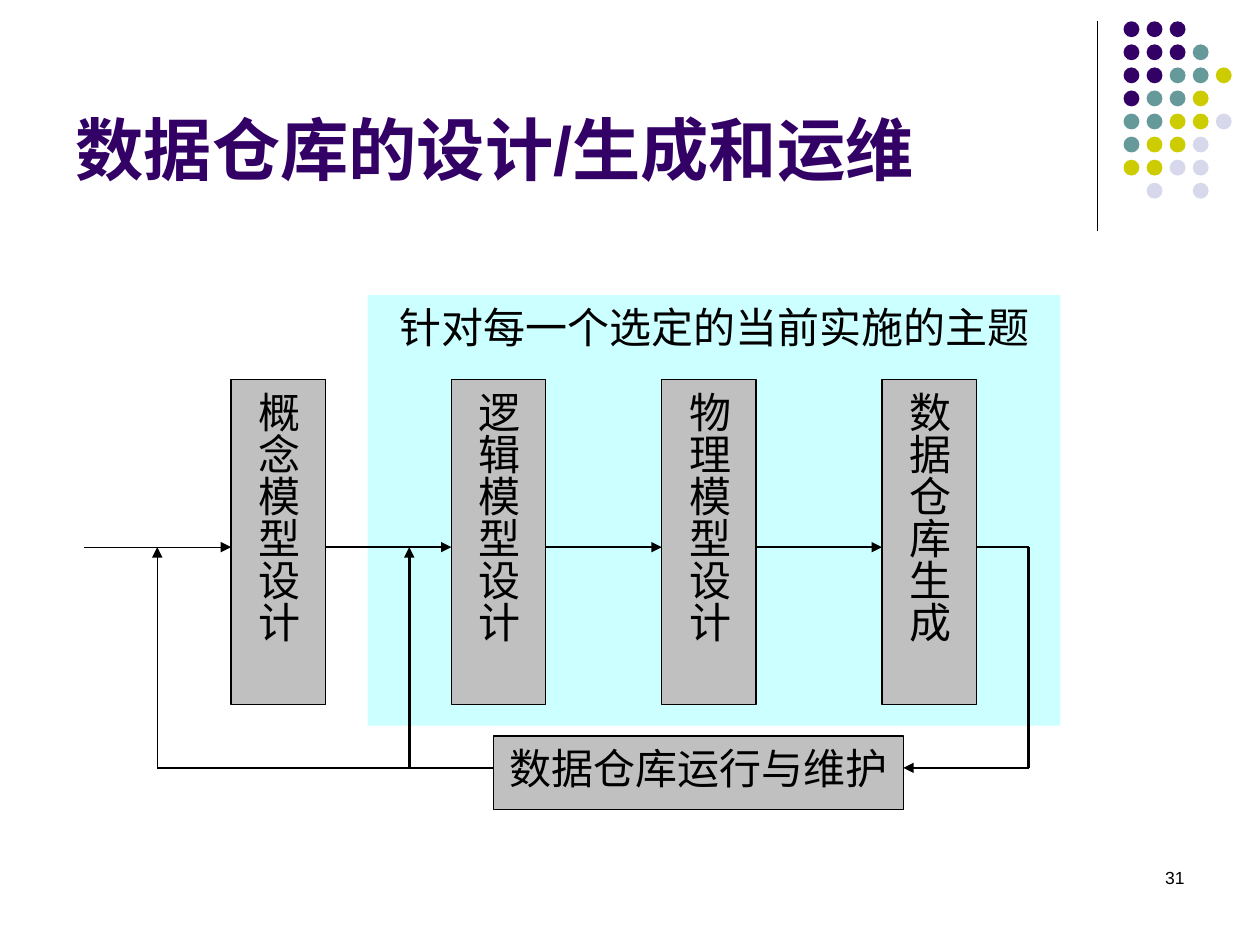
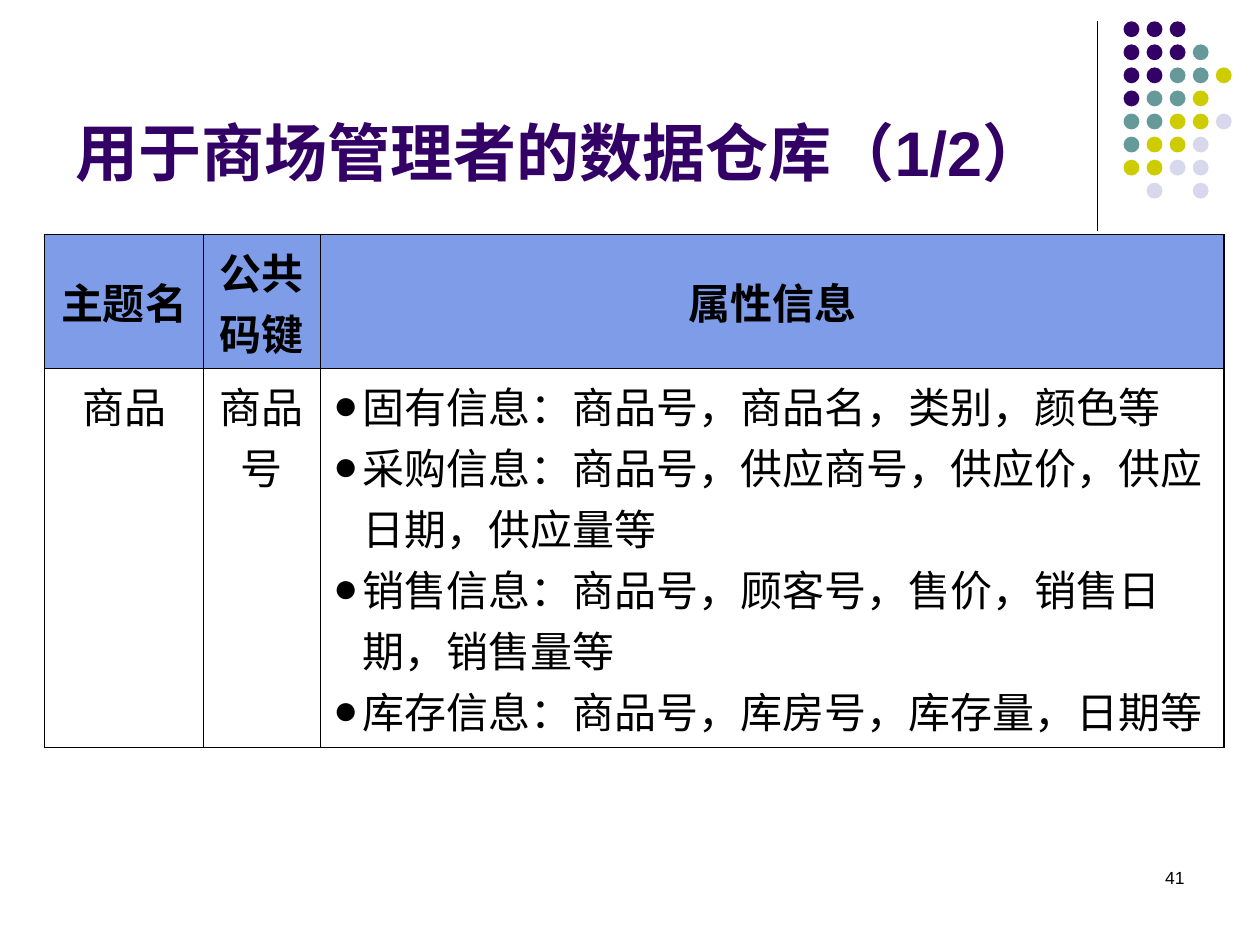
from lxml import etree
from pptx import Presentation
from pptx.dml.color import RGBColor
from pptx.enum.shapes import MSO_CONNECTOR, MSO_SHAPE
from pptx.enum.text import MSO_ANCHOR, MSO_AUTO_SIZE, PP_ALIGN
from pptx.oxml.ns import qn
from pptx.util import Cm, Pt

LEFT, MID, RIGHT = PP_ALIGN.LEFT, PP_ALIGN.CENTER, PP_ALIGN.RIGHT
TOP, CENTRE, BOTTOM = MSO_ANCHOR.TOP, MSO_ANCHOR.MIDDLE, MSO_ANCHOR.BOTTOM
RECT, OVAL = MSO_SHAPE.RECTANGLE, MSO_SHAPE.OVAL
STRAIGHT = MSO_CONNECTOR.STRAIGHT
NO_FIT = MSO_AUTO_SIZE.NONE

BLACK = RGBColor(0x00, 0x00, 0x00)
WHITE = RGBColor(0xFF, 0xFF, 0xFF)
PURPLE = RGBColor(0x33, 0x00, 0x66)
TEAL = RGBColor(0x66, 0x99, 0x99)
LIME = RGBColor(0xCC, 0xCC, 0x00)
PALE = RGBColor(0xD8, 0xD8, 0xEC)
CYAN = RGBColor(0xCC, 0xFF, 0xFF)
GREY = RGBColor(0xC0, 0xC0, 0xC0)
BLUE = RGBColor(0x7E, 0x9C, 0xE8)
SANS, SERIF = "Arial", "Times New Roman"

DOTS = ["PPP", "PPPT", "PPTTL", "PTTL", "TTLLW", "TLLW", "LLWW", " W W"]
DOT_FILL = {"P": PURPLE, "T": TEAL, "L": LIME, "W": PALE}
DOT_X, DOT_Y, DOT_GAP, DOT_SIZE = 22.65, 0.43, 0.465, 0.32

FLOW_TITLE = "数据仓库的设计/生成和运维"
SCOPE = "针对每一个选定的当前实施的主题"
STEPS = [(4.66, "概念模型设计"), (9.1, "逻辑模型设计"),
         (13.34, "物理模型设计"), (17.78, "数据仓库生成")]
STEP_Y, STEP_W, STEP_H = 7.65, 1.9, 6.55
UPKEEP = "数据仓库运行与维护"
UP_X, UP_W = 9.95, 8.26
FLOW_Y, BACK_Y = 11.03, 15.48
START_X, LOOP_X, JOIN_X, TURN_X = 1.69, 3.17, 8.25, 20.74

MALL_TITLE = "用于商场管理者的数据仓库（1/2）"
HEAD = [["主题名"], ["公共", "码键"], ["属性信息"]]
BODY = [["商品"], ["商品号"],
        ["固有信息：商品号，商品名，类别，颜色等",
         "采购信息：商品号，供应商号，供应价，供应日期，供应量等",
         "销售信息：商品号，顾客号，售价，销售日期，销售量等",
         "库存信息：商品号，库房号，库存量，日期等"]]
COLS, ROWS = [3.2, 2.36, 18.21], [2.7, 7.64]
THICK, THIN = 0.96, 0.45
INDENT = 0.59


def style(par, size, font=SERIF, color=BLACK, bold=False, align=MID):
    par.alignment = align
    par.font.size = Pt(size)
    par.font.name = font
    par.font.bold = bold
    par.font.color.rgb = color


def shape(slide, kind, x, y, w, h, fill, edge=False):
    item = slide.shapes.add_shape(kind, Cm(x), Cm(y), Cm(w), Cm(h))
    item.shadow.inherit = False
    item.fill.solid()
    item.fill.fore_color.rgb = fill
    if edge:
        item.line.color.rgb = BLACK
        item.line.width = Pt(0.75)
    else:
        item.line.fill.background()
    return item


def box(slide, x, y, w, h, fill, text, edge=True, upright=False):
    item = shape(slide, RECT, x, y, w, h, fill, edge)
    frame = item.text_frame
    frame.word_wrap = not upright
    frame.vertical_anchor = CENTRE if upright else TOP
    side, end = (0.13, 0.25) if upright else (0.25, 0.13)
    frame.margin_left = frame.margin_right = Cm(side)
    frame.margin_top = frame.margin_bottom = Cm(end)
    if upright:
        frame._txBody.bodyPr.set("vert", "eaVert")
    frame.text = text
    style(frame.paragraphs[0], 24)


def line(slide, x1, y1, x2, y2, width=1.5, arrow=False):
    link = slide.shapes.add_connector(STRAIGHT, Cm(x1), Cm(y1), Cm(x2), Cm(y2))
    link.line.color.rgb = BLACK
    link.line.width = Pt(width)
    if arrow:
        etree.SubElement(link.line._get_or_add_ln(), qn("a:tailEnd"), type="triangle")
    etree.SubElement(link._element.spPr, qn("a:effectLst"))


def new_slide(deck, title, size, number):
    slide = deck.slides.add_slide(deck.slide_layouts[5])
    line(slide, 22.12, 0.43, 22.12, 4.65, 0.75)
    for row, marks in enumerate(DOTS):
        for col, mark in enumerate(marks):
            if mark in DOT_FILL:
                shape(slide, OVAL, DOT_X + col * DOT_GAP, DOT_Y + row * DOT_GAP,
                      DOT_SIZE, DOT_SIZE, DOT_FILL[mark])
    note = slide.shapes.add_textbox(Cm(18.2), Cm(17.35), Cm(5.93), Cm(1.27))
    note.text_frame.word_wrap = True
    note.text_frame.text = number
    style(note.text_frame.paragraphs[0], 10, SANS, align=RIGHT)
    head = slide.shapes.title
    head.left, head.top, head.width, head.height = Cm(1.27), Cm(0.34), Cm(20.96), Cm(3.6)
    frame = head.text_frame
    frame.word_wrap = True
    frame.auto_size = NO_FIT
    frame.vertical_anchor = BOTTOM
    frame.text = title
    style(frame.paragraphs[0], size, SANS, PURPLE, True, LEFT)
    return slide


def flow_slide(deck):
    slide = new_slide(deck, FLOW_TITLE, 39, "31")
    box(slide, 7.41, 5.95, 13.97, 8.68, CYAN, SCOPE, edge=False)
    for x, text in STEPS:
        box(slide, x, STEP_Y, STEP_W, STEP_H, GREY, text, upright=True)
    box(slide, UP_X, 14.84, UP_W, 1.48, GREY, UPKEEP)
    for (x, _), (after, _) in zip(STEPS, STEPS[1:]):
        line(slide, x + STEP_W, FLOW_Y, after, FLOW_Y, arrow=True)
    line(slide, TURN_X, BACK_Y, UP_X + UP_W, BACK_Y, arrow=True)
    line(slide, STEPS[-1][0] + STEP_W, FLOW_Y, TURN_X, FLOW_Y)
    line(slide, TURN_X, BACK_Y, TURN_X, FLOW_Y)
    line(slide, JOIN_X, BACK_Y, JOIN_X, FLOW_Y, arrow=True)
    line(slide, LOOP_X, BACK_Y, UP_X, BACK_Y)
    line(slide, START_X, FLOW_Y, STEPS[0][0], FLOW_Y, 0.75, True)
    line(slide, LOOP_X, BACK_Y, LOOP_X, FLOW_Y, 0.75, True)


def border(cell, sides):
    props = cell._tc.get_or_add_tcPr()
    for side, width in sides.items():
        edge = etree.SubElement(props, qn(f"a:ln{side}"), w=str(Pt(width)))
        fill = etree.SubElement(edge, qn("a:solidFill"))
        etree.SubElement(fill, qn("a:srgbClr"), val=str(BLACK))


def bullet(par):
    props = par._p.get_or_add_pPr()
    props.set("marL", str(Cm(INDENT)))
    props.set("indent", str(-Cm(INDENT)))
    props.set("hangingPunct", "0")
    tint = etree.SubElement(props, qn("a:buClr"))
    etree.SubElement(tint, qn("a:srgbClr"), val=str(BLACK))
    etree.SubElement(props, qn("a:buFont"), typeface=SERIF)
    etree.SubElement(props, qn("a:buChar"), char="●")


def mall_slide(deck):
    slide = new_slide(deck, MALL_TITLE, 36, "41")
    grid = slide.shapes.add_table(len(ROWS), len(COLS), Cm(0.9), Cm(4.73),
                                  Cm(sum(COLS)), Cm(sum(ROWS))).table
    grid.first_row = grid.horz_banding = False
    for col, width in zip(grid.columns, COLS):
        col.width = Cm(width)
    for row, height in zip(grid.rows, ROWS):
        row.height = Cm(height)
    last = len(COLS) - 1
    for r, cells in enumerate([HEAD, BODY]):
        top = r == 0
        for c, texts in enumerate(cells):
            cell = grid.cell(r, c)
            border(cell, {"L": THIN if c else THICK,
                          "R": THICK if c == last else THIN,
                          "T": THICK if top else THIN, "B": THIN})
            cell.fill.solid()
            cell.fill.fore_color.rgb = BLUE if top else WHITE
            cell.vertical_anchor = CENTRE if top else TOP
            cell.text_frame.text = "\n".join(texts)
            listed = not top and c == last
            for par in cell.text_frame.paragraphs:
                if listed:
                    bullet(par)
                style(par, 24, bold=top, align=LEFT if listed else MID)


def main():
    deck = Presentation()
    deck.slide_width, deck.slide_height = Cm(25.4), Cm(19.05)
    flow_slide(deck)
    mall_slide(deck)
    deck.save("out.pptx")


if __name__ == "__main__":
    main()
